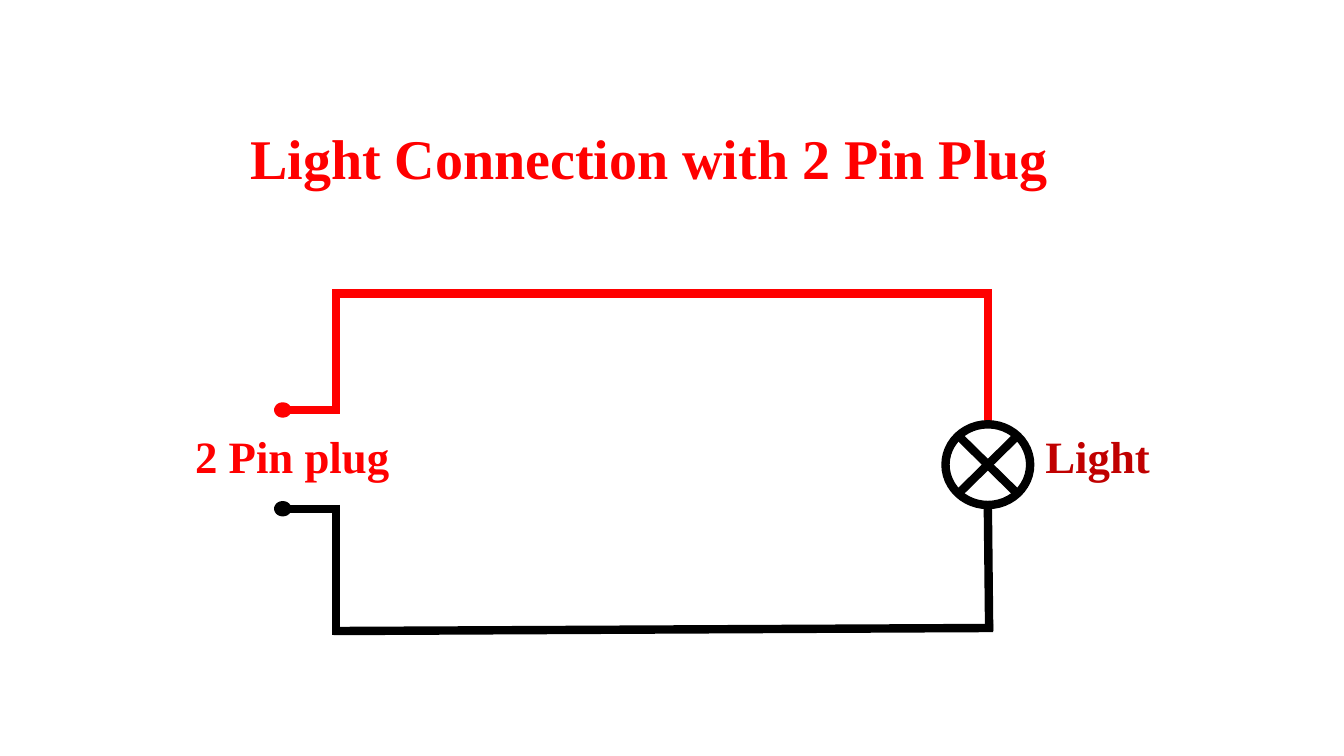
from lxml import etree
from pptx import Presentation
from pptx import util as u
from pptx.dml.color import RGBColor
from pptx.enum import shapes, text
from pptx.oxml.ns import qn

RED = RGBColor(0xFF, 0x00, 0x00)
DARK_RED = RGBColor(0xC0, 0x00, 0x00)
BLACK = RGBColor(0x00, 0x00, 0x00)
WHITE = RGBColor(0xFF, 0xFF, 0xFF)


class Diagram:
    """Draws circuit parts on one slide, with lengths in percent of its size."""

    font = "Times New Roman"
    weight = u.Pt(6)

    def __init__(self, prs):
        self.width, self.height = prs.slide_width, prs.slide_height
        self.slide = prs.slides.add_slide(prs.slide_layouts[5])

    def x(self, share):
        return round(self.width * share / 100)

    def y(self, share):
        return round(self.height * share / 100)

    def box(self, left, top, width, height):
        return self.x(left), self.y(top), self.x(width), self.y(height)

    def set_text(self, sp, words, size, color, anchor):
        tf = sp.text_frame
        tf.text = words
        tf.word_wrap = True
        tf.vertical_anchor = anchor
        p = tf.paragraphs[0]
        p.alignment = text.PP_ALIGN.CENTER
        font = p.runs[0].font
        font.name, font.size, font.bold = self.font, u.Pt(size), True
        font.color.rgb = color
        return p

    def title(self, words, *box):
        sp = self.slide.shapes.title
        sp.left, sp.top, sp.width, sp.height = self.box(*box)
        p = self.set_text(sp, words, 40, RED, text.MSO_ANCHOR.MIDDLE)
        p.line_spacing = 0.9

    def label(self, words, color, *box):
        sp = self.slide.shapes.add_textbox(*self.box(*box))
        self.set_text(sp, words, 32, color, text.MSO_ANCHOR.TOP)

    def wire(self, color, x1, y1, x2, y2):
        line = self.slide.shapes.add_connector(
            shapes.MSO_CONNECTOR.STRAIGHT,
            self.x(x1), self.y(y1), self.x(x2), self.y(y2))
        line.line.color.rgb = color
        line.line.width = self.weight
        etree.SubElement(line._element.spPr, qn("a:effectLst"))

    def disc(self, fill, color, *box):
        sp = self.slide.shapes.add_shape(
            shapes.MSO_SHAPE.OVAL, *self.box(*box))
        sp.shadow.inherit = False
        sp.fill.solid()
        sp.fill.fore_color.rgb = fill
        sp.line.color.rgb = color
        sp.line.width = self.weight

    def lamp(self, left, top, width, height):
        self.disc(WHITE, BLACK, left, top, width, height)
        x1, x2 = left + width * 0.18, left + width * 0.82
        y1, y2 = top + height * 0.17, top + height * 0.83
        self.wire(BLACK, x1, y1, x2, y2)
        self.wire(BLACK, x1, y2, x2, y1)

    def pin(self, color, y):
        self.wire(color, 21.1, y, 25.2, y)
        self.disc(BLACK, color, 20.7, y - 0.5, 0.68, 0.93)


def main():
    prs = Presentation()
    prs.slide_width, prs.slide_height = u.Inches(13.33), u.Inches(7.5)
    d = Diagram(prs)
    d.title("Light Connection with 2 Pin Plug", 14.93, 16, 66.75, 10.8)

    d.wire(RED, 25, 38.27, 25, 54.8)
    d.wire(RED, 24.76, 38.8, 73.74, 38.8)
    d.wire(RED, 73.5, 38.27, 73.5, 56.13)
    d.wire(BLACK, 25, 66.8, 25, 84)
    d.wire(BLACK, 24.83, 83.47, 73.9, 83.07)
    d.wire(BLACK, 73.5, 66.67, 73.6, 83.47)

    d.lamp(70.35, 56.13, 6.3, 10.67)
    d.label("Light", DARK_RED, 76.73, 56, 9.9, 8.53)
    d.pin(RED, 54.27)
    d.pin(BLACK, 67.33)
    d.label("2 Pin plug", RED, 13.35, 56, 16.8, 8.53)
    prs.save("out.pptx")


if __name__ == "__main__":
    main()
